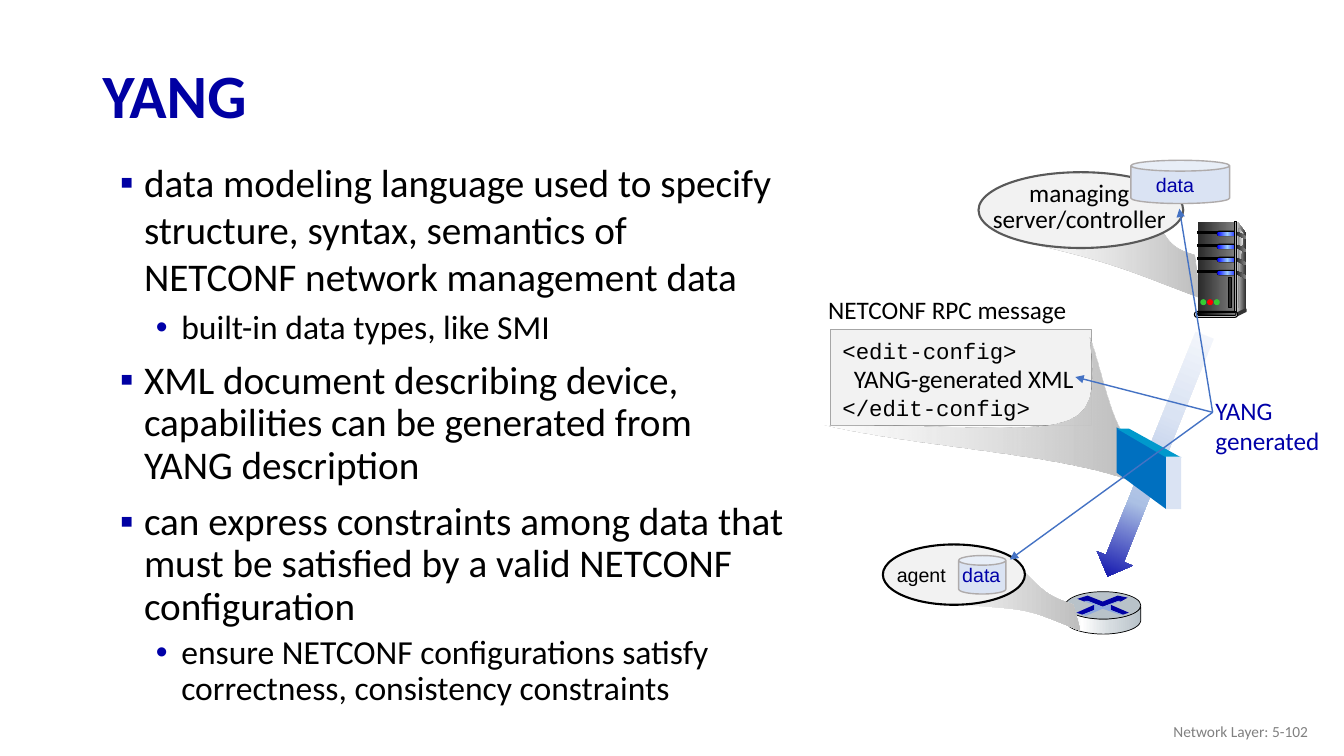
"""Build the YANG slide: bullets beside a NETCONF management diagram."""
from lxml.etree import SubElement as Sub
from pptx import Presentation
from pptx.dml.color import RGBColor as RGB
from pptx.enum.shapes import MSO_CONNECTOR as Link, MSO_SHAPE as Form
from pptx.enum.text import MSO_ANCHOR as Anchor, PP_ALIGN as Align
from pptx.oxml.ns import qn
from pptx.util import Cm, Pt

BLACK, WHITE = RGB(0, 0, 0), RGB(255, 255, 255)
NAVY, INK = RGB(0, 0, 0xA3), RGB(0, 0, 0xA8)
GRAY, MID, DARK = RGB(0x80, 0x80, 0x80), RGB(0x59, 0x59, 0x59), RGB(0x33, 0x33, 0x33)
COAL, SILVER, PEARL = RGB(0x29, 0x29, 0x29), RGB(0xDD, 0xDD, 0xDD), RGB(0xF8, 0xF8, 0xF8)
PALE, ASH, STONE = RGB(0xF2, 0xF2, 0xF2), RGB(0xBF, 0xBF, 0xBF), RGB(0xA6, 0xA6, 0xA6)
STEEL, MIST, RIM = RGB(0xB8, 0xC2, 0xC9), RGB(0xD6, 0xDC, 0xE0), RGB(0xAF, 0xAB, 0xAB)
ICE, SKY, HAZE = RGB(0xDA, 0xE3, 0xF3), RGB(0x8F, 0xAA, 0xDC), RGB(0xAB, 0xC0, 0xE4)
FROST, CABLE = RGB(0xF6, 0xF8, 0xFC), RGB(0x44, 0x72, 0xC4)
AZURE, TEAL = RGB(0, 0x70, 0xC0), RGB(0, 0x99, 0xCC)
BLUE, GLOW = RGB(0, 0, 255), RGB(0x99, 0xCC, 255)
GREEN, RED = RGB(0x33, 0xCC, 0x33), RGB(255, 0, 0)

BEAM = [(0, WHITE, 68), (99, ASH, 100)]
CONE = [(0, WHITE, 100), (99, ASH, 100)]
METAL = [(0, COAL, 100), (100, GRAY, 100)]
LAMP = [(0, BLUE, 100), (50, GLOW, 100), (100, BLUE, 100)]

deck = Presentation()
deck.slide_width, deck.slide_height = Cm(33.87), Cm(19.05)
shapes = deck.slides.add_slide(deck.slide_layouts[6]).shapes


def draw(form, spots, fill, edge=None, width=0.75):
    """Add a preset shape in a box, or an outline of points and curves if form is None."""
    if form is None:
        pen = spots[0]
        dots = []
        for spot in spots[1:]:
            if len(spot) == 2:
                dots.append(spot)
            else:
                a, b, end = spot[:2], spot[2:4], spot[4:]
                for step in range(1, 17):
                    t = step / 16
                    u = 1 - t
                    dots.append([u**3 * p + 3 * u * u * t * q + 3 * u * t * t * r + t**3 * s
                                 for p, q, r, s in zip(pen, a, b, end)])
            pen = spot[-2:]
        path = shapes.build_freeform(Cm(spots[0][0]), Cm(spots[0][1]))
        path.add_line_segments([(Cm(x), Cm(y)) for x, y in dots], close=True)
        shape = path.convert_to_shape()
    else:
        shape = shapes.add_shape(form, *map(Cm, spots))
        if form == Form.ROUNDED_RECTANGLE:
            shape.adjustments[0] = 0.5
    shape.shadow.inherit = False
    if isinstance(fill, list):
        shape.fill.gradient()
        shape.fill.gradient_angle = 0
        stops = shape._element.spPr.find(qn("a:gradFill")).find(qn("a:gsLst"))
        for stop in list(stops):
            stops.remove(stop)
        for place, color, alpha in fill:
            stop = Sub(stops, qn("a:gs"), pos=str(place * 1000))
            tone = Sub(stop, qn("a:srgbClr"), val=str(color))
            if alpha < 100:
                Sub(tone, qn("a:alpha"), val=str(alpha * 1000))
    else:
        shape.fill.solid()
        shape.fill.fore_color.rgb = fill
    if edge is None:
        shape.line.fill.background()
    else:
        shape.line.color.rgb = edge
        shape.line.width = Pt(width)
    return shape


def write(box, text, size, color=BLACK, face="Calibri", align=Align.LEFT, wrap=True):
    """Add a text box and return its frame."""
    frame = shapes.add_textbox(*map(Cm, box)).text_frame
    frame.word_wrap = wrap
    frame.text = text
    for para in frame.paragraphs:
        para.alignment = align
        for run in para.runs:
            run.font.size, run.font.name, run.font.color.rgb = Pt(size), face, color
    return frame


points = [
    (0, 1, "data modeling language used to specify structure, syntax, semantics of NETCONF network management data"),
    (1, 1, "built-in data types, like SMI"),
    (0, 0.9, "XML document describing device, capabilities can be generated from YANG description"),
    (0, 0.9, "can express constraints among data that must be satisfied by a valid NETCONF configuration"),
    (1, 0.9, "ensure NETCONF configurations satisfy correctness, consistency constraints"),
]
looks = [(0.99, -0.61, 10, "▪", NAVY, 28), (1.93, -0.64, 5, "•", INK, 24)]
body = write((2.39, 3.86, 17.7, 14.38), "\n".join(text for _, _, text in points), 28)
for i, (para, (level, pitch, _)) in enumerate(zip(body.paragraphs, points)):
    left, hang, gap, mark, color, size = looks[level]
    props = para._p.get_or_add_pPr()
    props.set("marL", str(Cm(left)))
    props.set("indent", str(Cm(hang)))
    Sub(Sub(props, qn("a:buClr")), qn("a:srgbClr"), val=str(color))
    Sub(props, qn("a:buFont"), typeface="Arial")
    Sub(props, qn("a:buChar"), char=mark)
    para.level = level
    para.line_spacing = pitch
    para.space_before = Pt(gap if i else 0)
    para.runs[0].font.size = Pt(size)

title = write((2.34, 1.24, 29.21, 2.49), "YANG", 44, NAVY)
title.vertical_anchor = Anchor.MIDDLE
title.paragraphs[0].line_spacing = 0.9
title.paragraphs[0].runs[0].font.bold = True
foot = write((25.6, 17.91, 7.62, 1.02), "Network Layer: 5-102", 11, GRAY, align=Align.RIGHT)
foot.vertical_anchor = Anchor.MIDDLE

draw(None, [(28.75, 15.29), (28.75, 15.65), (28.68, 15.9, 28.12, 15.98, 27.81, 15.98),
            (27.48, 15.98, 26.9, 15.9, 26.85, 15.65), (26.85, 15.29),
            (26.92, 15.49, 27.48, 15.6, 27.79, 15.6), (28.09, 15.6, 28.65, 15.52, 28.75, 15.29)],
     [(0, STEEL, 100), (21, WHITE, 100), (60, MIST, 100), (100, STEEL, 100)], BLACK, 0.5)
draw(Form.OVAL, (26.85, 14.91, 1.9, 0.69), STEEL, BLACK, 0.5)
draw(None, [(28.17, 15.01), (28.42, 15.06), (28.24, 15.16), (28.19, 15.14), (27.79, 15.29),
            (27.41, 15.14), (27.33, 15.16), (27.15, 15.09), (27.41, 15.01), (27.79, 15.16)], NAVY)
draw(None, [(27.99, 15.24), (28.45, 15.44), (28.3, 15.49), (27.99, 15.37)], NAVY)
draw(None, [(27.58, 15.24), (27.58, 15.37), (27.28, 15.49), (27.13, 15.44)], INK)
draw(None, [(27.33, 15.14), (27.41, 15.14), (27.79, 15.29), (28.19, 15.14), (28.24, 15.14),
            (27.99, 15.24), (27.99, 15.37), (28.3, 15.49), (28.22, 15.49), (27.79, 15.34),
            (27.36, 15.52), (27.28, 15.49), (27.58, 15.37), (27.58, 15.24), (27.33, 15.16)], SKY)

draw(None, [(27.05, 15.24), (26.42, 15.01, 26.34, 14.99, 25.53, 14.1), (23.37, 15.16),
            (26.11, 15.42, 25.55, 15.21, 27.23, 15.9)], CONE)
draw(Form.OVAL, (22.25, 13.72, 3.58, 1.52), PALE, BLACK, 1.5)
write((22.35, 14.07, 1.75, 0.86), "agent", 14, face="Arial", wrap=False)
draw(Form.CAN, (24.16, 14, 1.19, 0.97), ICE, RIM, 1)
write((24, 14.05, 1.47, 0.86), "data", 14, INK, "Arial", wrap=False)

draw(None, [(30.1, 6.43), (29.64, 6.3, 29.49, 6.17, 29.31, 5.87), (27.89, 6.22, 27.99, 6.35, 25.78, 6.1),
            (28.17, 6.65, 28.4, 6.81, 30.23, 7.49)], BEAM)
draw(Form.OVAL, (24.66, 4.34, 5.16, 1.91), PALE, MID, 1.5)
head = write((24.71, 4.47, 4.98, 1.57), "managing\nserver/controller", 18, align=Align.CENTER)
for para in head.paragraphs:
    para.line_spacing = 0.85
draw(Form.CAN, (28.5, 4.04, 2.49, 1.09), ICE, RIM, 1)
write((28.88, 4.24, 1.65, 0.86), "data", 14, INK, "Arial")

draw(None, [(31.19, 5.59), (31.39, 5.87), (31.39, 7.8), (31.14, 7.87)], [(0, SILVER, 100), (100, DARK, 100)])
draw(Form.RECTANGLE, (30.18, 5.59, 0.97, 2.29), METAL)
draw(None, [(31.19, 5.74), (31.19, 5.74, 31.24, 5.74, 31.34, 5.92),
            (31.19, 6.76, 31.22, 7.85, 31.19, 7.82)], [(0, GRAY, 100), (100, PEARL, 100)])
for row in range(4):
    y = 5.84 + 0.33 * row
    draw(Form.RECTANGLE, (30.18, y, 0.54, 0.05), BLACK, BLACK)
    draw(Form.ROUNDED_RECTANGLE, (30.66, y - 0.03, 0.53, 0.14), BLACK)
    draw(Form.ROUNDED_RECTANGLE, (30.68, y, 0.51, 0.1), LAMP)
    draw(None, [(31.17, y), (31.29, y + 0.05), (31.39, y + 0.11), (31.39, y + 0.19), (31.17, y + 0.08)], METAL)
draw(Form.RECTANGLE, (31.12, 5.59, 0.05, 2.29), [(0, DARK, 100), (50, SILVER, 100), (100, DARK, 100)], BLACK)
draw(Form.OVAL, (31.37, 7.77, 0.05, 0.1), DARK)
draw(None, [(31.17, 7.87), (31.17, 7.98), (31.39, 7.87), (31.39, 7.77)], DARK)
draw(Form.ROUNDED_RECTANGLE, (30.1, 7.85, 1.09, 0.15), SILVER, BLACK)
draw(Form.ROUNDED_RECTANGLE, (30.18, 7.87, 0.97, 0.08), [(0, BLACK, 100), (100, GRAY, 100)], BLACK)
for i, color in enumerate((GREEN, RED, GREEN)):
    draw(Form.OVAL, (30.25 + 0.17 * i, 7.54, 0.15, 0.15), color)
draw(Form.RECTANGLE, (30.96, 6.99, 0.08, 0.76), COAL, BLACK)

arrow = draw(Form.RIGHT_ARROW, (25.86, 11, 6.55, 0.97),
             [(0, FROST, 100), (35, ICE, 100), (68, HAZE, 100), (100, INK, 100)])
arrow.rotation = 111.9

write((20.62, 7.29, 6.68, 1.02), "NETCONF RPC message", 18)
draw(Form.RECTANGLE, (20.93, 8.31, 6.58, 2.41), PALE, STONE, 1)
code = write((20.98, 8.36, 6.68, 2.39), "<edit-config>\n  YANG-generated XML\n</edit-config>", 16, face="Courier New")
inner = code.paragraphs[1].runs[0].font
inner.name, inner.size = "Calibri", Pt(18)
draw(None, [(28.47, 11.07), (28.04, 10.95, 27.64, 8.81, 27.46, 8.51), (27.81, 11.38, 27.1, 10.72, 20.78, 10.72),
            (23.16, 11.28, 26.67, 11.43, 28.5, 12.12)], BEAM)

draw(None, [(28.14, 10.77), (28.14, 11.91), (29.39, 12.83), (29.39, 11.48)], AZURE)
draw(None, [(28.45, 10.8), (28.14, 10.8), (29.39, 11.53), (29.77, 11.53)], TEAL)
draw(Form.RECTANGLE, (29.39, 11.51, 0.38, 1.32), ICE)

write((30.38, 9.83, 3.18, 1.8), "YANG\ngenerated", 18, INK, wrap=False)
for x, y in ((29.72, 5.26), (25.45, 14.1), (27.1, 9.5)):
    line = shapes.add_connector(Link.STRAIGHT, Cm(30.56), Cm(10.39), Cm(x), Cm(y))
    line.line.color.rgb = CABLE
    line.line.width = Pt(1)
    props = line._element.spPr
    Sub(props.find(qn("a:ln")), qn("a:tailEnd"), type="triangle")
    Sub(props, qn("a:effectLst"))

deck.save("out.pptx")
